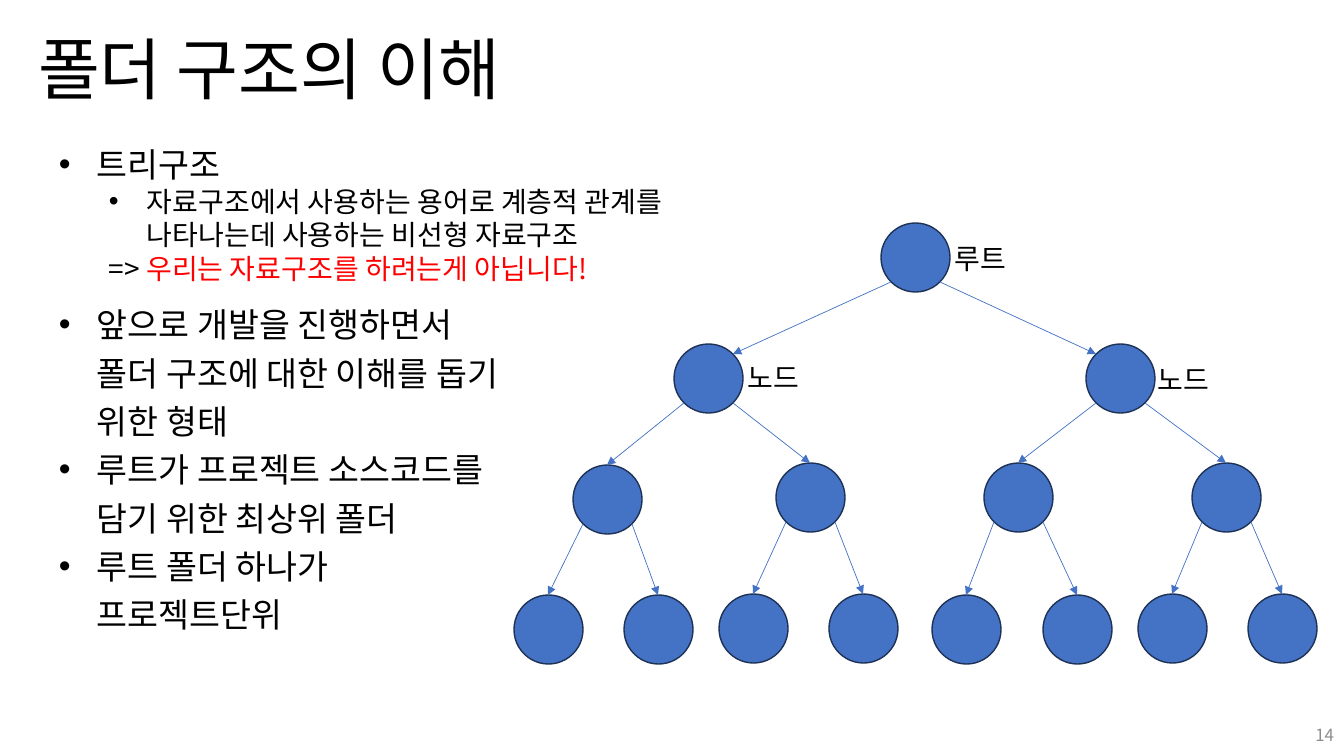
from lxml import etree
from pptx import Presentation
from pptx.dml.color import RGBColor
from pptx.enum.shapes import MSO_CONNECTOR, MSO_SHAPE
from pptx.enum.text import MSO_ANCHOR, MSO_AUTO_SIZE, PP_ALIGN
from pptx.oxml.ns import qn
from pptx.util import Pt

OVAL, STRAIGHT = MSO_SHAPE.OVAL, MSO_CONNECTOR.STRAIGHT
MIDDLE, LEFT, RIGHT = MSO_ANCHOR.MIDDLE, PP_ALIGN.LEFT, PP_ALIGN.RIGHT
PX = 12192000 / 1344
FONT = "Noto Sans CJK KR"
BLACK, RED, GRAY = "000000", "FF0000", "8C8C8C"
BLUE, NAVY = "4472C4", "1E3256"


def px(*values):
    return [round(v * PX) for v in values]


def style(r, size, color=BLACK):
    r.font.size = Pt(size)
    r.font.name = FONT
    r.font.color.rgb = RGBColor.from_string(color)
    etree.SubElement(r._r.get_or_add_rPr(), qn("a:ea"), typeface=FONT)


prs = Presentation()
prs.slide_width, prs.slide_height = px(1344, 756)
s = prs.slides.add_slide(prs.slide_layouts[5])

# Title
title = s.shapes.title
title.left, title.top, title.width, title.height = px(28, 0, 1159, 146)
tf = title.text_frame
tf.text = "폴더 구조의 이해"
tf.auto_size = MSO_AUTO_SIZE.NONE
tf.vertical_anchor = MIDDLE
p = tf.paragraphs[0]
p.alignment = LEFT
p.line_spacing = 0.9
style(p.runs[0], 48)

# Tree: left and top of each node, level by level
SIZE, INSET = 69, 10
levels = [
    [(881, 223)],
    [(674, 344), (1086, 344)],
    [(573, 465), (776, 463), (984, 463), (1192, 463)],
    [(514, 595), (624, 595), (719, 594), (829, 594),
     (932, 595), (1043, 595), (1138, 594), (1248, 594)],
]
for depth, nodes in enumerate(levels):
    for i, (x, y) in enumerate(nodes):
        sp = s.shapes.add_shape(OVAL, *px(x, y, SIZE, SIZE))
        sp.shadow.inherit = False
        sp.fill.solid()
        sp.fill.fore_color.rgb = RGBColor.from_string(BLUE)
        sp.line.color.rgb = RGBColor.from_string(NAVY)
        sp.line.width = Pt(1)
        if depth == 0:
            continue

        # Arrow from the parent's lower side to this node
        parent_x, parent_y = levels[depth - 1][i // 2]
        is_left = i % 2 == 0
        start_x = parent_x + (INSET if is_left else SIZE - INSET)
        end_x, end_y = x + SIZE // 2, y
        if depth == 1:
            end_x = x + (SIZE - INSET if is_left else INSET)
            end_y = y + INSET
        line = s.shapes.add_connector(
            STRAIGHT, *px(start_x, parent_y + SIZE - INSET, end_x, end_y))
        line.line.color.rgb = RGBColor.from_string(BLUE)
        line.line.width = Pt(0.5)
        etree.SubElement(line.line._get_or_add_ln(), qn("a:tailEnd"), type="triangle")
        etree.SubElement(line._element.spPr, qn("a:effectLst"))

# Node labels
for text, x, y in [("루트", 945, 237), ("노드", 738, 356), ("노드", 1148, 358)]:
    tf = s.shapes.add_textbox(*px(x, y, 75, 44)).text_frame
    tf.word_wrap = False
    tf.text = text
    style(tf.paragraphs[0].runs[0], 20)

# Bulleted text: (level, margin, indent, size, bullet, runs)
intro = [
    (0, 38, -38, 24, True, [("트리구조", BLACK)]),
    (1, 88, -38, 20, True,
     [("자료구조에서 사용하는 용어로 계층적 관계를\v나타나는데 사용하는 비선형 자료구조", BLACK)]),
    (1, 50, 0, 20, False,
     [("=> ", BLACK), ("우리는 자료구조를 하려는게 아닙니다!", RED)]),
]
details = [(0, 38, -38, 24, True, [(text, BLACK)]) for text in (
    "앞으로 개발을 진행하면서 폴더 구조에 대한 이해를 돕기 위한 형태",
    "루트가 프로젝트 소스코드를\v담기 위한 최상위 폴더",
    "루트 폴더 하나가 프로젝트단위",
)]
for box, spacing, items in [((49, 139, 666, 152), 1.0, intro),
                            ((49, 291, 467, 303), 1.2, details)]:
    tf = s.shapes.add_textbox(*px(*box)).text_frame
    tf.word_wrap = True
    for n, (level, margin, indent, size, bullet, runs) in enumerate(items):
        p = tf.paragraphs[0] if n == 0 else tf.add_paragraph()
        p.level = level
        p.line_spacing = spacing
        pPr = p._p.get_or_add_pPr()
        for name, value in zip(("marL", "indent"), px(margin, indent)):
            pPr.set(name, str(value))
        if bullet:
            etree.SubElement(pPr, qn("a:buFont"), typeface="Arial")
            etree.SubElement(pPr, qn("a:buChar"), char="•")
        for text, color in runs:
            for k, part in enumerate(text.split("\v")):
                if k:
                    p.add_line_break()
                r = p.add_run()
                r.text = part
                style(r, size, color)

# Page number
tf = s.shapes.add_textbox(*px(1041, 715, 303, 40)).text_frame
tf.word_wrap = True
tf.vertical_anchor = MIDDLE
tf.text = "14"
p = tf.paragraphs[0]
p.alignment = RIGHT
style(p.runs[0], 12, GRAY)

prs.save("out.pptx")
